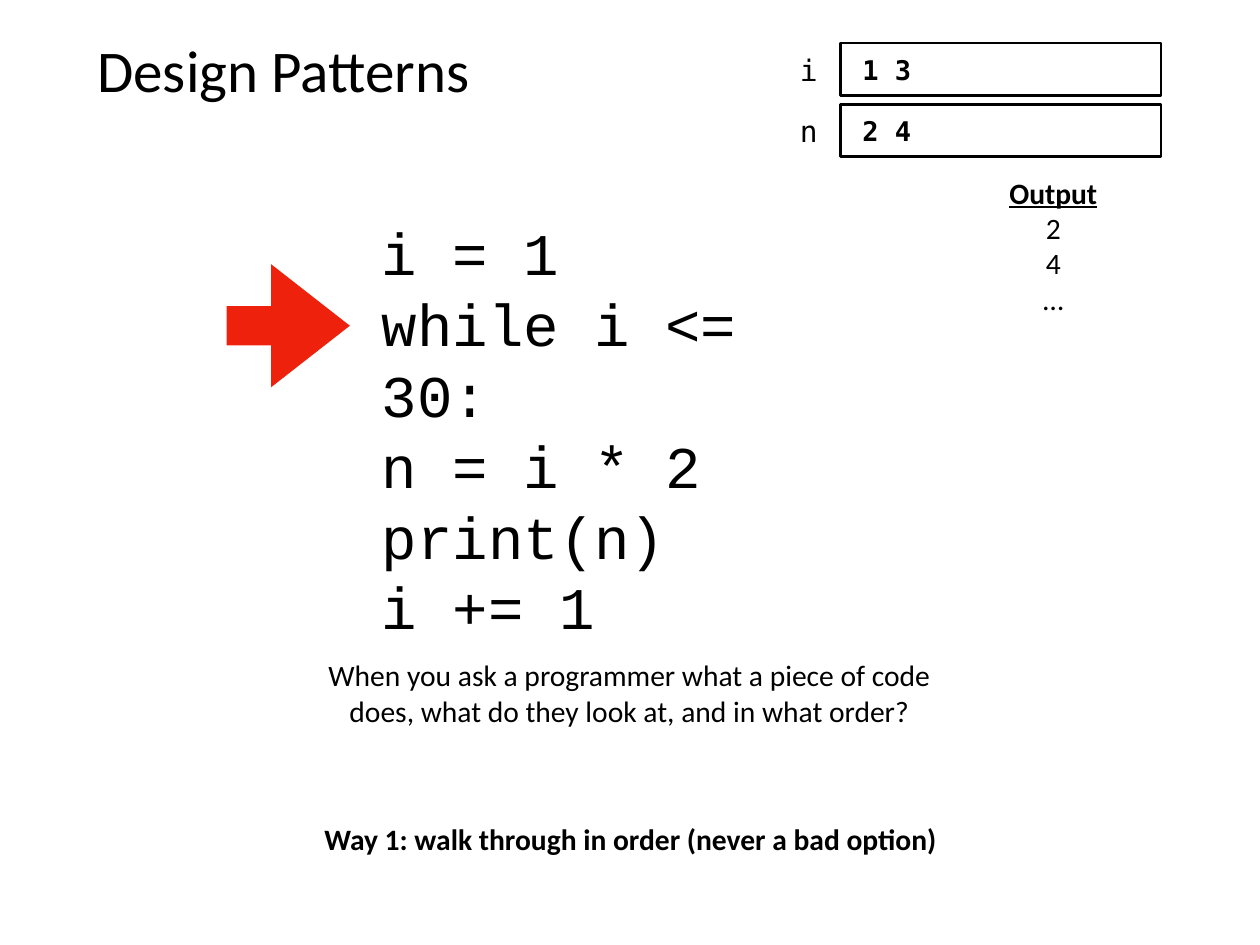
from dataclasses import dataclass

from pptx import Presentation
from pptx.dml.color import RGBColor
from pptx.enum.shapes import MSO_SHAPE
from pptx.enum.text import MSO_ANCHOR, PP_ALIGN
from pptx.util import Cm, Pt

# Content
TITLE = "Design Patterns"
CODE = ["i = 1", "while i <= 30:", "n = i * 2", "print(n)", "i += 1"]
QUESTION = ["When you ask a programmer what a piece of code",
            "does, what do they look at, and in what order?"]
ANSWER = "Way 1: walk through in order (never a bad option)"
OUTPUT_HEADING = "Output"
OUTPUT = ["2", "4", "…"]
VARIABLES = [("i", "1 3"), ("n", "2 4")]


@dataclass(frozen=True)
class Theme:
    ink: RGBColor = RGBColor(0x00, 0x00, 0x00)
    paper: RGBColor = RGBColor(0xFF, 0xFF, 0xFF)
    pointer: RGBColor = RGBColor(0xEE, 0x22, 0x0C)
    body_font: str = "Calibri"
    code_font: str = "Courier New"
    memory_font: str = "DejaVu Sans Mono"
    large: int = 48
    body: int = 24
    value: int = 22


THEME = Theme()
INSET = 0.15

# Geometry in centimetres: left, top, width, height
TITLE_AREA = (2.64, 0.71, 30.84, 2.51)
CODE_AREA = (10.8, 5.84, 14.5, 10.44)
QUESTION_AREA = (7.92, 18.69, 20.24, 2.31)
ANSWER_AREA = (7.42, 23.37, 21.31, 1.3)
OUTPUT_AREA = (28.52, 4.85, 3.35, 4.34)
POINTER_AREA = (6.5, 7.57, 3.53, 3.53)
MEMORY_LEFT, MEMORY_TOP, MEMORY_WIDTH, MEMORY_HEIGHT = 24.1, 1.24, 9.19, 1.5
MEMORY_PITCH = 1.75
LABEL_LEFT, LABEL_WIDTH, LABEL_HEIGHT = 22.78, 0.79, 1.3

deck = Presentation()
deck.slide_width, deck.slide_height = Cm(36.12), Cm(27.08)
slide = deck.slides.add_slide(deck.slide_layouts[6])


def write(holder, lines, font, size, align=PP_ALIGN.CENTER, anchor=MSO_ANCHOR.MIDDLE,
          bold=False, left=INSET, top=INSET, spacing=None):
    frame = holder.text_frame
    frame.word_wrap = False
    frame.vertical_anchor = anchor
    frame.margin_left, frame.margin_top = Cm(left), Cm(top)
    frame.margin_right = frame.margin_bottom = Cm(INSET)
    for number, line in enumerate(lines):
        paragraph = frame.add_paragraph() if number else frame.paragraphs[0]
        paragraph.alignment = align
        paragraph.line_spacing = spacing
        run = paragraph.add_run()
        run.text = line
        run.font.name, run.font.size, run.font.bold = font, Pt(size), bold
        run.font.color.rgb = THEME.ink
    return frame


def add_text(area, lines, font, size, **style):
    return write(slide.shapes.add_textbox(*map(Cm, area)), lines, font, size, **style)


def add_block(kind, area, fill):
    block = slide.shapes.add_shape(kind, *map(Cm, area))
    block.shadow.inherit = False
    block.fill.solid()
    block.fill.fore_color.rgb = fill
    return block


# Title and code
add_text(TITLE_AREA, [TITLE], THEME.body_font, THEME.large, align=PP_ALIGN.LEFT)
add_text(CODE_AREA, CODE, THEME.code_font, THEME.large, align=PP_ALIGN.LEFT,
         anchor=MSO_ANCHOR.TOP, top=0.36, spacing=Pt(1.2 * THEME.large))

# Question and answer
add_text(QUESTION_AREA, QUESTION, THEME.body_font, THEME.body)
add_text(ANSWER_AREA, [ANSWER], THEME.body_font, THEME.body, bold=True)

# Program output
output = add_text(OUTPUT_AREA, [OUTPUT_HEADING, *OUTPUT], THEME.body_font, THEME.body,
                  anchor=MSO_ANCHOR.TOP)
heading = output.paragraphs[0].runs[0]
heading.font.bold = heading.font.underline = True

# Variables in memory
for row, (name, history) in enumerate(VARIABLES):
    top = MEMORY_TOP + row * MEMORY_PITCH
    cell = add_block(MSO_SHAPE.RECTANGLE, (MEMORY_LEFT, top, MEMORY_WIDTH, MEMORY_HEIGHT),
                     THEME.paper)
    cell.line.color.rgb = THEME.ink
    cell.line.width = Pt(2)
    write(cell, [history], THEME.memory_font, THEME.value, align=PP_ALIGN.LEFT,
          bold=True, left=0.62)
    label_top = top + (MEMORY_HEIGHT - LABEL_HEIGHT) / 2
    add_text((LABEL_LEFT, label_top, LABEL_WIDTH, LABEL_HEIGHT), [name],
             THEME.memory_font, THEME.body)

# Pointer to the current line
pointer = add_block(MSO_SHAPE.RIGHT_ARROW, POINTER_AREA, THEME.pointer)
pointer.line.fill.background()
pointer.adjustments[0], pointer.adjustments[1] = 0.32, 0.64

deck.save("out.pptx")
